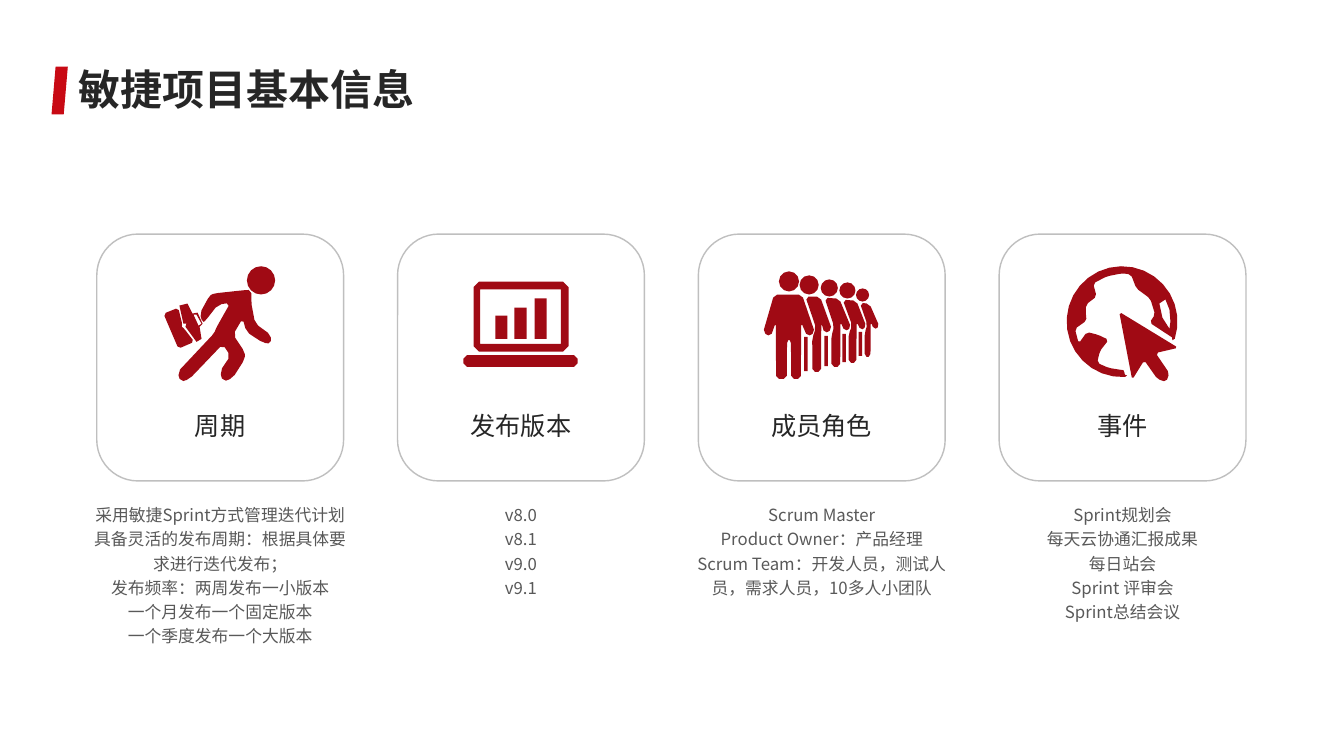
from math import cos, radians, sin

from lxml.etree import SubElement
from pptx import Presentation
from pptx.dml.color import RGBColor
from pptx.enum.shapes import MSO_SHAPE as Shape
from pptx.enum.text import MSO_AUTO_SIZE as AutoSize, PP_ALIGN as Align
from pptx.oxml.ns import qn
from pptx.util import Cm, Pt

FONT = "Noto Sans CJK SC"
DARK, GRAY, BORDER = "262626", "595959", "BFBFBF"
ACCENT, ICON_RED = "C80A14", "A00A14"
ICON_UNIT = Cm(0.0254)


def color(value):
    return RGBColor.from_string(value)


def arc(center_x, center_y, radius, start=0, end=360, steps=16):
    angles = [radians(start + (end - start) * i / steps) for i in range(steps + 1)]
    return [(center_x + radius * cos(a), center_y + radius * sin(a)) for a in angles]


def rounded(points, radius):
    outline = []
    for i, corner in enumerate(points):
        ends = []
        for neighbor in (points[i - 1], points[(i + 1) % len(points)]):
            dx, dy = neighbor[0] - corner[0], neighbor[1] - corner[1]
            share = min(0.5, radius / (dx * dx + dy * dy) ** 0.5)
            ends.append((corner[0] + dx * share, corner[1] + dy * share))
        for t in (0.2, 0.8):
            outline.append(tuple(
                (1 - t) ** 2 * a + 2 * t * (1 - t) * b + t * t * c
                for a, b, c in zip(ends[0], corner, ends[1])))
    return outline


def box(left, top, right, bottom):
    return [(left, top), (right, top), (right, bottom), (left, bottom)]


def runner_icon():
    case_left = [(16, 41), (20, 58), (19, 60), (21, 61), (32, 75), (16, 82), (1, 47)]
    case_right = [(17, 39), (25, 37), (30, 47), (35, 46), (40, 57), (37, 60),
                  (39, 72), (34, 75), (23, 60), (24, 57), (21, 57)]
    handle_hole = [(31, 48), (34, 48), (39, 57), (36, 59)]
    body = [(79, 24), (89, 23), (88, 35), (92, 57), (108, 68), (108, 77), (100, 76),
            (83, 65), (80, 51), (70, 68), (82, 85), (82, 92), (70, 111), (60, 115),
            (57, 104), (68, 89), (60, 77), (27, 112), (18, 115), (15, 105),
            (52, 66), (53, 62), (68, 36), (55, 38), (43, 54), (40, 56), (37, 47),
            (47, 29), (51, 27)]
    return [arc(98, 14, 14), rounded(case_left, 4), case_right, handle_hole,
            rounded(body, 6)]


def laptop_icon():
    bars = [box(left, top, left + 12, 72) for left, top in ((32, 49), (51, 41), (71, 32))]
    return [rounded(box(10, 15, 105, 85), 9), box(17, 23, 97, 77),
            rounded(box(0, 88, 114, 100), 6)] + bars


def team_icon():
    heads = [(25, 15, 10), (45, 18.5, 9.5), (65, 21.5, 8.5), (83, 24, 8), (98, 28.5, 6.5)]
    leader = [(10, 28), (38, 28), (51, 66), (43, 70), (37, 55), (37, 112), (27, 112),
              (27, 73), (23, 73), (23, 112), (12, 112), (12, 55), (7, 70), (-1, 66)]
    followers = [
        [(41, 30), (56, 30), (68, 63), (60, 67), (57, 55), (57, 105), (48, 105),
         (48, 71), (52, 61)],
        [(60, 31), (75, 32), (87, 61), (80, 65), (76, 54), (76, 100), (67, 100),
         (67, 69), (70, 60)],
        [(78, 33), (92, 34), (102, 60), (96, 64), (92, 54), (92, 96), (84, 96),
         (84, 67), (88, 59)],
        [(95, 36), (105, 37), (115, 60), (109, 63), (106, 54), (106, 90), (100, 90),
         (100, 66), (103, 58)]]
    far_legs = [(40, 70, 104), (60, 69, 99), (78, 67, 95), (94, 65, 89)]
    return ([arc(*head, steps=12) for head in heads]
            + [rounded(body, 5) for body in [leader] + followers]
            + [box(left, top, left + 3.5, bottom) for left, top, bottom in far_legs])


def globe_icon():
    cursor = [(54, 45), (113, 81), (90, 86), (104, 106), (101, 115), (92, 112),
              (79, 93), (67, 113)]
    coast = [(109, 72), (84, 56), (90, 48), (85, 32), (71, 22), (66, 8), (57, 7),
             (42, 10), (28, 17), (32, 30), (21, 38), (21, 48), (22, 54), (10, 62),
             (14, 77), (22, 65), (33, 68), (44, 73), (35, 84), (32, 96), (44, 101),
             (57, 103), (59, 103), (60, 110)]
    lake = [(100, 33), (94, 37), (97, 51), (104, 62), (105, 55), (104, 43)]
    return [rounded(cursor, 4),
            rounded(coast, 4) + arc(57, 55, 55, 87, 378, steps=24), lake]


def style(shape, fill=None, line=None):
    shape.shadow.inherit = False
    if fill:
        shape.fill.solid()
        shape.fill.fore_color.rgb = color(fill)
    else:
        shape.fill.background()
    if line:
        shape.line.color.rgb = color(line)
        shape.line.width = Pt(1)
    else:
        shape.line.fill.background()


def add_text(slide, area, lines, size, text_color, align=Align.CENTER,
             spacing=1.2, bold=False, wrap=True):
    frame = slide.shapes.add_textbox(*area).text_frame
    frame.word_wrap = wrap
    frame.auto_size = AutoSize.SHAPE_TO_FIT_TEXT
    frame.text = "\n".join(lines)
    for paragraph in frame.paragraphs:
        paragraph.alignment = align
        paragraph.line_spacing = spacing
        font = paragraph.font
        font.name, font.size, font.bold = FONT, Pt(size), bold
        font.color.rgb = color(text_color)
        properties = paragraph._p.pPr.find(qn("a:defRPr"))
        SubElement(properties, qn("a:ea")).set("typeface", FONT)


def add_icon(slide, left, top, contours):
    scaled = [[(x * ICON_UNIT, y * ICON_UNIT) for x, y in points] for points in contours]
    builder = slide.shapes.build_freeform(*scaled[0][0])
    for index, points in enumerate(scaled):
        if index:
            builder.move_to(*points[0])
        builder.add_line_segments(points[1:], close=True)
    style(builder.convert_to_shape(left, top), fill=ICON_RED)


def add_title(slide, left, top, title):
    marker = slide.shapes.add_shape(
        Shape.PARALLELOGRAM, left, top, Cm(0.41), Cm(1.2))
    style(marker, fill=ACCENT)
    add_text(slide, (left + Cm(0.43), top - Cm(0.2), Cm(9.07), Cm(1.55)), [title],
             30, DARK, Align.LEFT, spacing=1, bold=True, wrap=False)


def add_card(slide, left, top, label, contours, details):
    side = Cm(6.22)
    card = slide.shapes.add_shape(Shape.ROUNDED_RECTANGLE, left, top, side, side)
    style(card, line=BORDER)
    add_icon(slide, left + Cm(1.65), top + Cm(0.81), contours)
    add_text(slide, (left, top + Cm(4.17), side, Cm(1.12)), [label], 18, DARK)
    add_text(slide, (left - Cm(0.33), top + Cm(6.6), Cm(6.88), Cm(3.3)),
             details, 12, GRAY)


def main():
    presentation = Presentation()
    presentation.slide_width, presentation.slide_height = Cm(33.87), Cm(19.05)
    slide = presentation.slides.add_slide(presentation.slide_layouts[6])
    add_title(slide, Cm(1.3), Cm(1.68), "敏捷项目基本信息")
    cards = [
        ("周期", runner_icon(), [
            "采用敏捷Sprint方式管理迭代计划",
            "具备灵活的发布周期：根据具体要求进行迭代发布；",
            "发布频率：两周发布一小版本",
            "一个月发布一个固定版本",
            "一个季度发布一个大版本"]),
        ("发布版本", laptop_icon(), ["v8.0", "v8.1", "v9.0", "v9.1"]),
        ("成员角色", team_icon(), [
            "Scrum Master",
            "Product Owner：产品经理",
            "Scrum Team：开发人员，测试人员，需求人员，10多人小团队"]),
        ("事件", globe_icon(), [
            "Sprint规划会", "每天云协通汇报成果", "每日站会",
            "Sprint 评审会", "Sprint总结会议"])]
    for column, card in enumerate(cards):
        add_card(slide, Cm(2.44 + 7.58 * column), Cm(5.9), *card)
    presentation.save("out.pptx")


if __name__ == "__main__":
    main()
